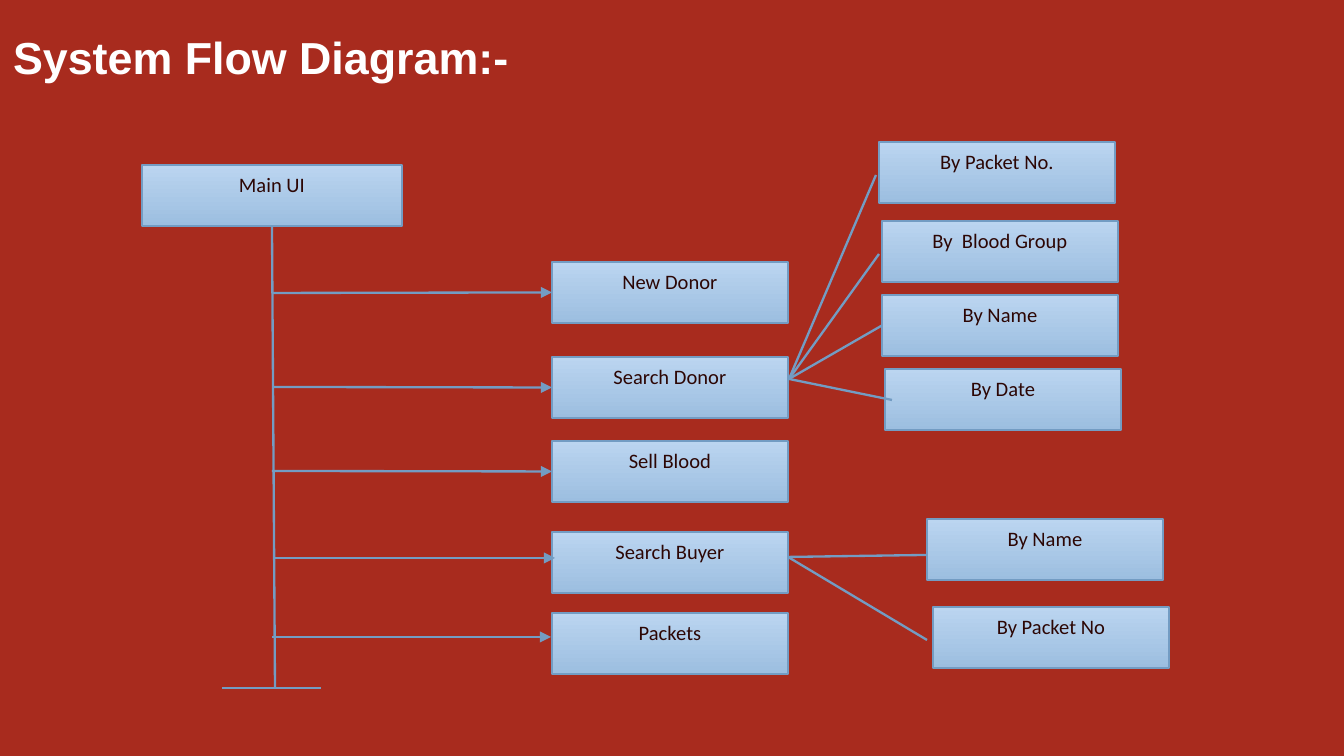
"""Build the system flow diagram slide."""
from lxml.etree import SubElement
from pptx import Presentation
from pptx.dml.color import RGBColor
from pptx.enum.shapes import MSO_CONNECTOR, MSO_SHAPE
from pptx.enum.text import MSO_ANCHOR, PP_ALIGN
from pptx.oxml.ns import qn
from pptx.util import Emu, Pt

THEME = {
    "background": RGBColor.from_string("A82B1E"),
    "edge": RGBColor.from_string("739CC3"),
    "gradient": [RGBColor.from_string("BBD5F0"), RGBColor.from_string("9CBEE0")],
    "edge_width": Pt(1.25),
    "title": {"name": "Arial", "size": Pt(24), "bold": True},
    "title_color": RGBColor.from_string("FFFFFF"),
    "label": {"name": "Calibri", "size": Pt(11)},
    "label_color": RGBColor.from_string("2C0604"),
}
SCALE = 914400 / 134.4


def px(*lengths):
    return [Emu(round(length * SCALE)) for length in lengths]


def write(frame, text, style, align):
    paragraph = frame.paragraphs[0]
    paragraph.alignment = align
    run = paragraph.add_run()
    run.text = text
    for key, value in THEME[style].items():
        setattr(run.font, key, value)
    run.font.color.rgb = THEME[style + "_color"]
    return paragraph


deck = Presentation()
deck.slide_width, deck.slide_height = px(1344, 756)
slide = deck.slides.add_slide(deck.slide_layouts[6])
slide.background.fill.solid()
slide.background.fill.fore_color.rgb = THEME["background"]

heading = slide.shapes.add_textbox(*px(0, 0, 1312, 113)).text_frame
inset = px(13)[0]
heading_format = {
    "word_wrap": True,
    "vertical_anchor": MSO_ANCHOR.MIDDLE,
    "margin_left": inset,
    "margin_right": inset,
    "margin_top": inset,
    "margin_bottom": inset,
}
for key, value in heading_format.items():
    setattr(heading, key, value)
write(heading, "System Flow Diagram:-", "title", PP_ALIGN.JUSTIFY)

steps = [
    ("Main UI", 142, 165, 260),
    ("New Donor", 552, 262, 236),
    ("Search Donor", 552, 357, 236),
    ("Sell Blood", 552, 441, 236),
    ("Search Buyer", 552, 532, 236),
    ("Packets", 552, 613, 236),
    ("By Packet No.", 879, 142, 236),
    ("By  Blood Group", 882, 221, 236),
    ("By Name", 882, 295, 236),
    ("By Date", 885, 369, 236),
    ("By Name", 927, 519, 236),
    ("By Packet No", 933, 607, 236),
]
boxes = []
for label, left, top, width in steps:
    box = slide.shapes.add_shape(MSO_SHAPE.RECTANGLE, *px(left, top, width, 61))
    box.shadow.inherit = False
    box.fill.gradient()
    box.fill.gradient_angle = 270
    for stop, color in zip(box.fill.gradient_stops, THEME["gradient"]):
        stop.color.rgb = color
    box.line.color.rgb = THEME["edge"]
    box.line.width = THEME["edge_width"]
    box.text_frame.word_wrap = True
    box.text_frame.vertical_anchor = MSO_ANCHOR.TOP
    write(box.text_frame, label, "label", PP_ALIGN.CENTER).space_after = Pt(10)
    boxes.append(box)
main_ui, new_donor, search_donor, sell_blood = boxes[:4]
donor_by_name = boxes[8]

donor_fan, buyer_fan = (789, 379), (788, 557)
links = [
    ((272, 226), (275, 687), False, main_ui, None),
    ((272, 293), (551, 293), True, None, new_donor),
    ((274, 387), (551, 387), True, None, search_donor),
    ((272, 471), (551, 471), True, None, sell_blood),
    ((272, 637), (551, 637), True, None, None),
    ((275, 558), (555, 558), True, None, None),
    ((222, 688), (321, 688), False, None, None),
    (donor_fan, (876, 175), False, None, None),
    (donor_fan, (879, 254), False, None, None),
    (donor_fan, (882, 325), False, None, donor_by_name),
    (donor_fan, (892, 400), False, None, None),
    (buyer_fan, (927, 555), False, None, None),
    (buyer_fan, (927, 640), False, None, None),
]
for start, end, arrow, source, target in links:
    link = slide.shapes.add_connector(MSO_CONNECTOR.STRAIGHT, *px(*start, *end))
    link.line.color.rgb = THEME["edge"]
    link.line.width = THEME["edge_width"]
    if arrow:
        SubElement(link.line._get_or_add_ln(), qn("a:tailEnd"), type="triangle")
    SubElement(link._element.spPr, qn("a:effectLst"))
    if source:
        link.begin_connect(source, 2)
    if target:
        link.end_connect(target, 1)

deck.save("out.pptx")
